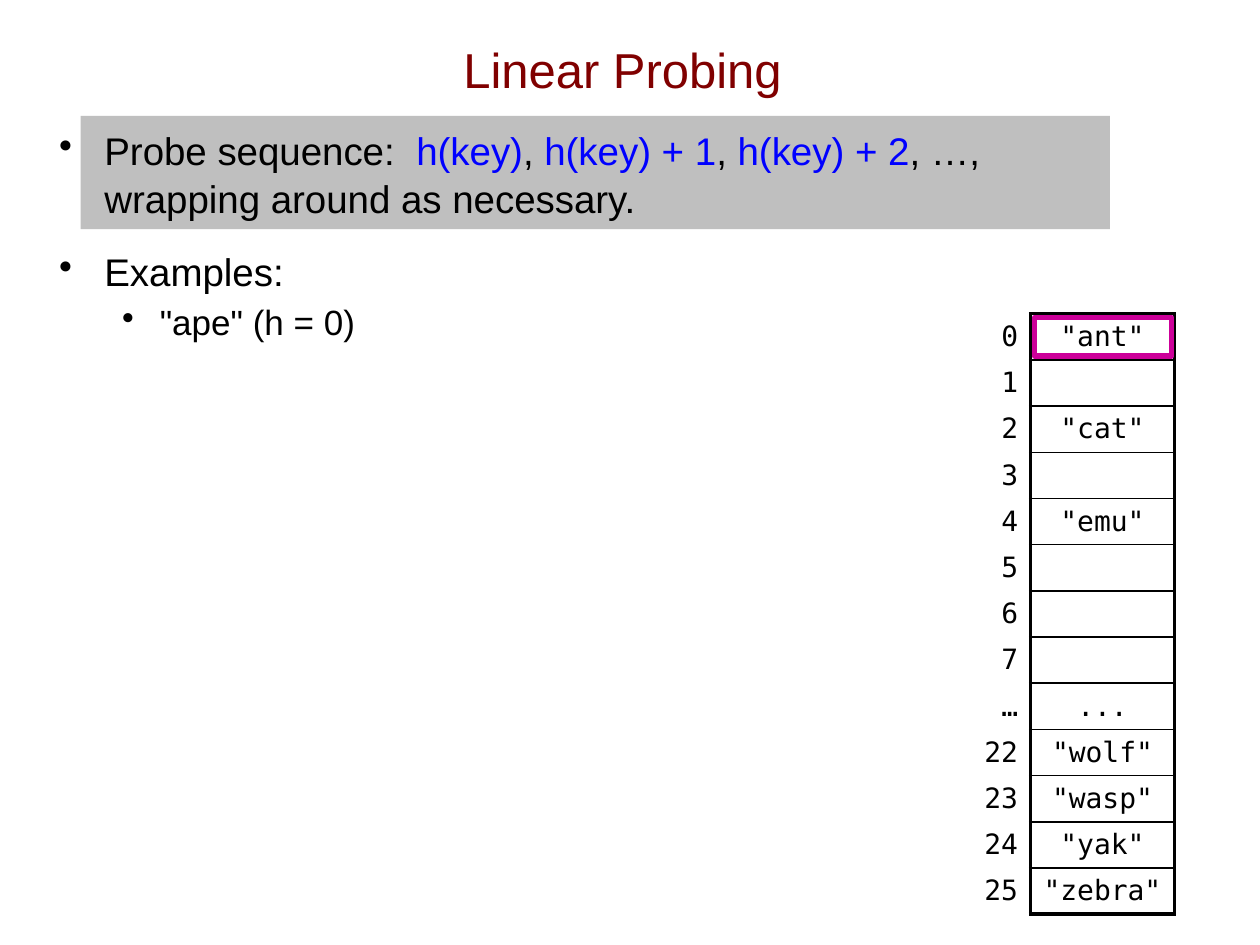
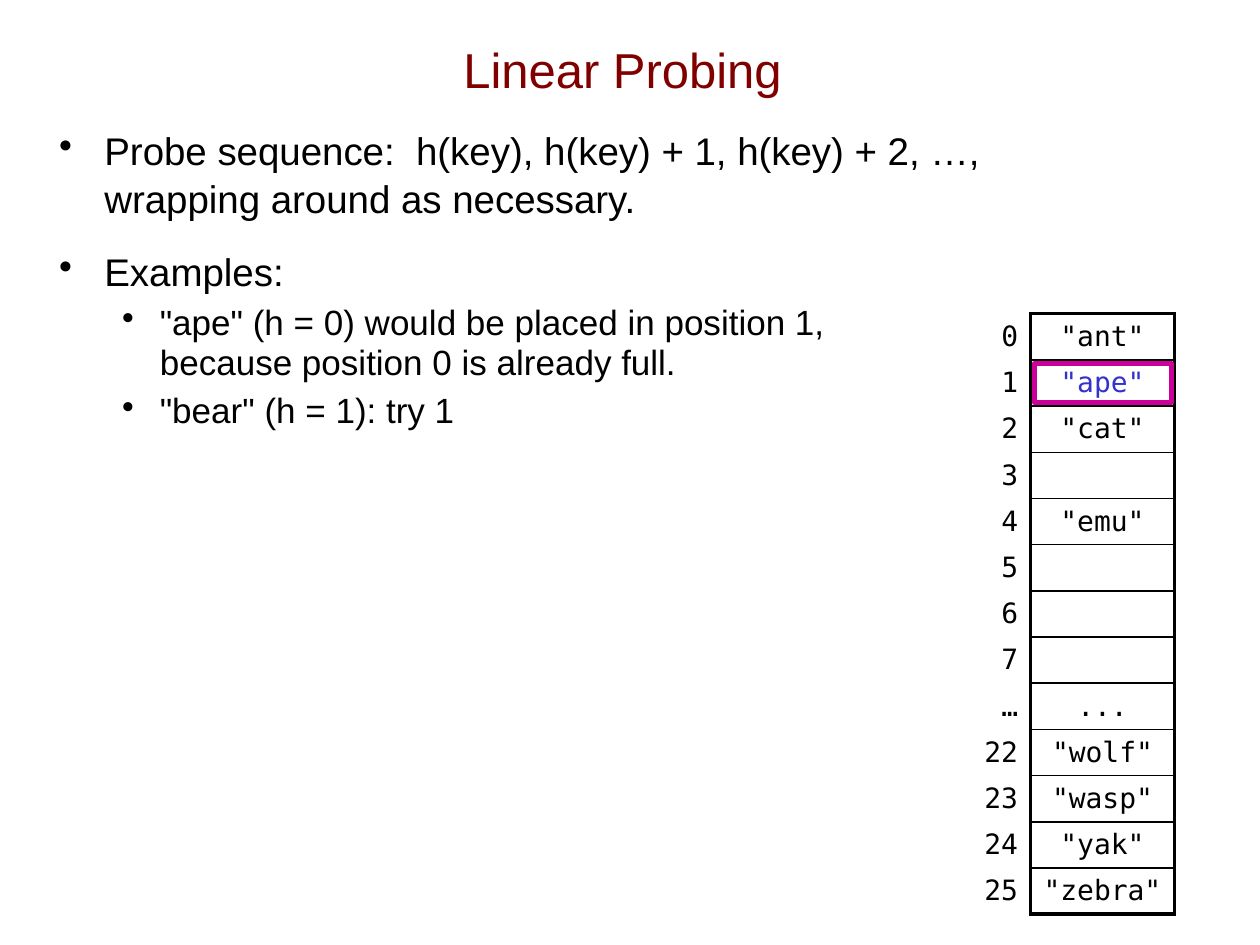
from lxml.etree import SubElement
from pptx import Presentation
from pptx.dml.color import RGBColor
from pptx.enum.shapes import MSO_SHAPE as Shape
from pptx.enum.text import MSO_ANCHOR as Anchor, PP_ALIGN as Align
from pptx.oxml.ns import qn
from pptx.util import Inches, Pt

# Content: a bullet is (level, pieces), a piece is (text, colour)
BLACK, BLUE, MAROON = "000000", "0000FF", "800000"
GREY, MAGENTA, INDIGO = "BFBFBF", "CC0099", "3333CC"

TITLE = "Linear Probing"
WRAP = "wrapping around as necessary."
EXAMPLES = (0, [("Examples:", BLACK)])
LABELS = ["0", "1", "2", "3", "4", "5", "6", "7", "…", "22", "23", "24", "25"]
ENTRIES = {"0": '"ant"', "2": '"cat"', "4": '"emu"', "…": "...",
           "22": '"wolf"', "23": '"wasp"', "24": '"yak"', "25": '"zebra"'}

SLIDES = [
    {"band": True, "probed": 0, "placed": {},
     "bullets": [
         (0, [("Probe sequence:  ", BLACK), ("h(key)", BLUE), (", ", BLACK),
              ("h(key) + 1", BLUE), (", ", BLACK), ("h(key) + 2", BLUE),
              (", …,\n" + WRAP, BLACK)]),
         EXAMPLES,
         (1, [('"ape" (h = 0)', BLACK)])]},
    {"band": False, "probed": 1, "placed": {"1": '"ape"'},
     "bullets": [
         (0, [("Probe sequence:  h(key), h(key) + 1, h(key) + 2, …,\n" + WRAP, BLACK)]),
         EXAMPLES,
         (1, [('"ape" (h = 0) would be placed in position 1,\n'
               "because position 0 is already full.", BLACK)]),
         (1, [('"bear" (h = 1): try 1', BLACK)])]},
]

# Shared style and places, in inches and points
FONT, MONO = "Arial", "DejaVu Sans Mono"
TITLE_BOX = (0.64, 0.08, 8.6, 0.93)
BODY_BOX = (0.37, 0.94, 9.25, 6.14)
BAND_BOX = (0.64, 0.92, 8.17, 0.9)
LEVELS = [{"size": 22, "indent": 0.36, "hang": 0.36, "before": 14, "spacing": 1.05},
          {"size": 20, "indent": 0.8, "hang": 0.3, "before": 5, "spacing": 0.95}]
TABLE_LEFT, TABLE_TOP, TABLE_HEIGHT = 7.03, 2.49, 4.77
COLUMNS = (1.15, 1.14)
ROW = TABLE_HEIGHT / len(LABELS)
THICK, THIN = 2.25, 1
FRAME_INSET = 0.03


def color(value):
    return RGBColor.from_string(value)


def box(left, top, width, height):
    return [Inches(length) for length in (left, top, width, height)]


def style(font, name, size, value):
    font.name, font.size = name, Pt(size)
    font.color.rgb = color(value)


def add_rectangle(slide, place, fill=None, line=None):
    shape = slide.shapes.add_shape(Shape.RECTANGLE, *box(*place))
    shape.shadow.inherit = False
    if fill:
        shape.fill.solid()
        shape.fill.fore_color.rgb = color(fill)
    else:
        shape.fill.background()
    if line:
        shape.line.color.rgb = color(line)
        shape.line.width = Pt(3)
    else:
        shape.line.fill.background()


def add_title(slide):
    title = slide.shapes.title
    title.left, title.top, title.width, title.height = box(*TITLE_BOX)
    title.text_frame.text = TITLE
    title.text_frame.vertical_anchor = Anchor.MIDDLE
    paragraph = title.text_frame.paragraphs[0]
    paragraph.alignment = Align.CENTER
    style(paragraph.font, FONT, 28, MAROON)


def add_bullets(slide, bullets):
    frame = slide.shapes.add_textbox(*box(*BODY_BOX)).text_frame
    frame.word_wrap = True
    for index, (level, pieces) in enumerate(bullets):
        look = LEVELS[level]
        paragraph = frame.add_paragraph() if index else frame.paragraphs[0]
        paragraph.level = level
        paragraph.line_spacing = look["spacing"]
        if index:
            paragraph.space_before = Pt(look["before"])
        properties = paragraph._p.get_or_add_pPr()
        properties.set("marL", str(Inches(look["indent"])))
        properties.set("indent", str(-Inches(look["hang"])))
        SubElement(properties, qn("a:buChar")).set("char", "•")
        style(paragraph.font, FONT, look["size"], BLACK)
        for text, value in pieces:
            for number, line in enumerate(text.split("\n")):
                if number:
                    paragraph.add_line_break()
                run = paragraph.add_run()
                run.text = line
                style(run.font, FONT, look["size"], value)


def set_borders(cell, **widths):
    """Draw black borders; the sides come in the order L, R, T, B."""
    properties = cell._tc.get_or_add_tcPr()
    for side, width in widths.items():
        line = SubElement(properties, qn("a:ln" + side), w=str(Pt(width)))
        fill = SubElement(line, qn("a:solidFill"))
        SubElement(fill, qn("a:srgbClr"), val=BLACK)


def fill_cell(cell, text, align, value=BLACK):
    cell.fill.background()
    cell.vertical_anchor = Anchor.MIDDLE
    cell.margin_top = cell.margin_bottom = 0
    if text:
        cell.text = text
        paragraph = cell.text_frame.paragraphs[0]
        paragraph.alignment = align
        style(paragraph.font, MONO, 16, value)


def add_hash_table(slide, placed):
    place = box(TABLE_LEFT, TABLE_TOP, sum(COLUMNS), TABLE_HEIGHT)
    table = slide.shapes.add_table(len(LABELS), len(COLUMNS), *place).table
    table.first_row = table.horz_banding = False
    for column, width in zip(table.columns, COLUMNS):
        column.width = Inches(width)
    last = len(LABELS) - 1
    for index, label in enumerate(LABELS):
        table.rows[index].height = Inches(ROW)
        label_cell, entry_cell = table.cell(index, 0), table.cell(index, 1)
        set_borders(label_cell, R=THICK)
        set_borders(entry_cell, L=THICK, R=THICK,
                    T=THIN if index else THICK,
                    B=THIN if index < last else THICK)
        fill_cell(label_cell, label, Align.RIGHT)
        fill_cell(entry_cell, placed.get(label, ENTRIES.get(label)), Align.CENTER,
                  INDIGO if label in placed else BLACK)


def add_probe_frame(slide, row):
    add_rectangle(slide, (TABLE_LEFT + COLUMNS[0] + FRAME_INSET,
                          TABLE_TOP + row * ROW + FRAME_INSET,
                          COLUMNS[1] - 0.05, ROW - 2 * FRAME_INSET), line=MAGENTA)


def main():
    presentation = Presentation()
    presentation.slide_width, presentation.slide_height = Inches(10), Inches(7.5)
    for content in SLIDES:
        slide = presentation.slides.add_slide(presentation.slide_layouts[5])
        add_title(slide)
        if content["band"]:
            add_rectangle(slide, BAND_BOX, fill=GREY)
        add_bullets(slide, content["bullets"])
        add_hash_table(slide, content["placed"])
        add_probe_frame(slide, content["probed"])
    presentation.save("out.pptx")


if __name__ == "__main__":
    main()
